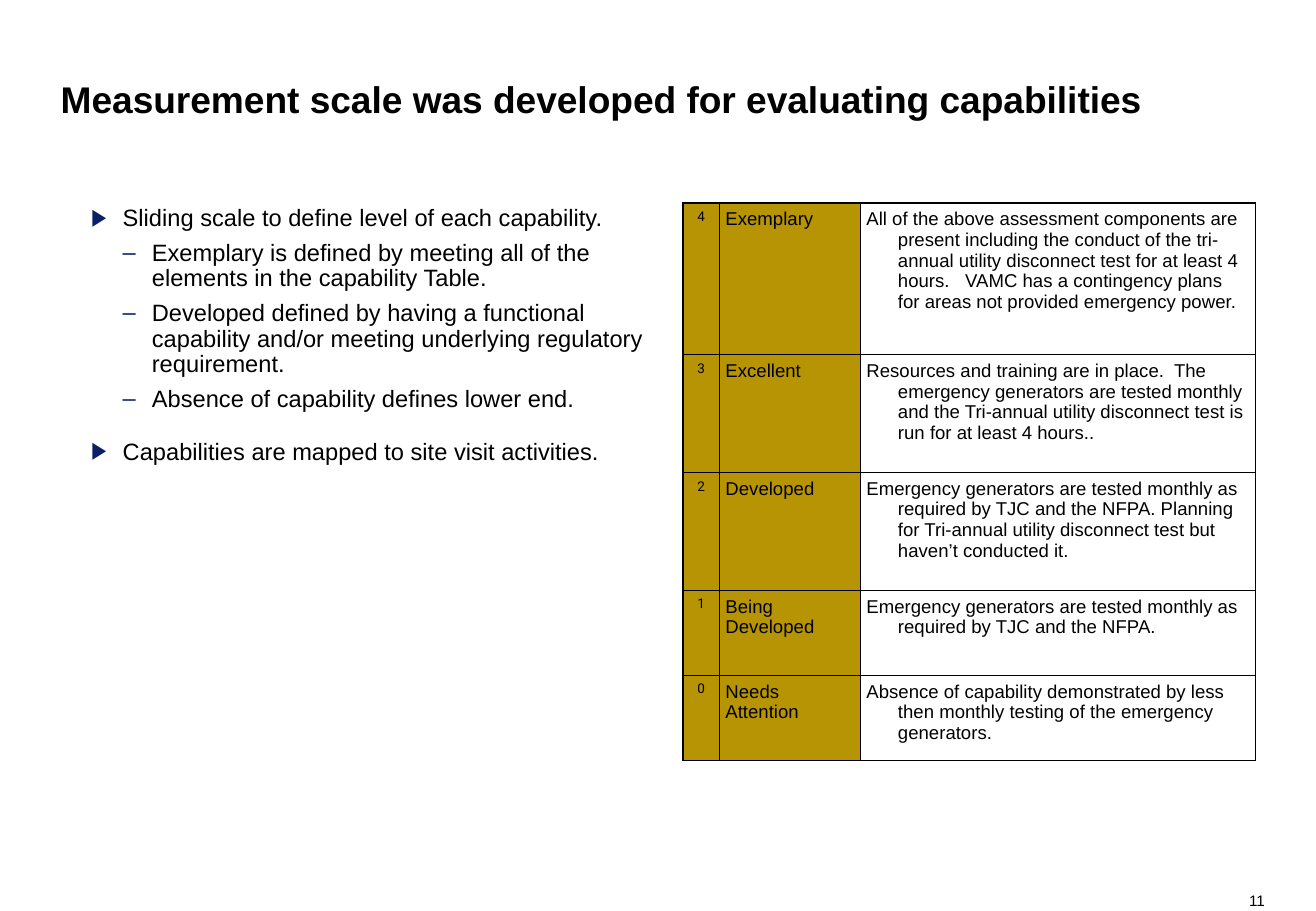
from lxml import etree
from pptx import Presentation
from pptx.dml.color import RGBColor
from pptx.enum.text import MSO_ANCHOR, PP_ALIGN
from pptx.oxml import parse_xml
from pptx.oxml.ns import nsdecls, qn
from pptx.util import Inches, Pt

LEFT, CENTER, RIGHT = PP_ALIGN.LEFT, PP_ALIGN.CENTER, PP_ALIGN.RIGHT
TOP, BOTTOM = MSO_ANCHOR.TOP, MSO_ANCHOR.BOTTOM
BLACK, NAVY, GOLD = "000000", "0B1F65", "B69404"
HANG = 0.26


def add_text(box, anchor=TOP, wrap=True):
    tf = slide.shapes.add_textbox(*map(Inches, box)).text_frame
    for name in ("margin_left", "margin_top", "margin_right", "margin_bottom"):
        setattr(tf, name, 0)
    tf.word_wrap, tf.vertical_anchor = wrap, anchor
    return tf


def write(p, text, size, font="Arial", bold=False, align=LEFT, indent=(0, 0), bullet=None):
    pPr = p._p.get_or_add_pPr()
    pPr.set("marL", str(Inches(indent[0])))
    pPr.set("indent", str(Inches(indent[1])))
    if bullet:
        color = etree.SubElement(pPr, qn("a:buClr"))
        etree.SubElement(color, qn("a:srgbClr"), val=NAVY)
        etree.SubElement(pPr, qn("a:buFont"), typeface="Arial")
        etree.SubElement(pPr, qn("a:buChar"), char=bullet)
    p.alignment = align
    r = p.add_run()
    r.text = text
    for name, value in {"size": Pt(size), "name": font, "bold": bold}.items():
        setattr(r.font, name, value)
    r.font.color.rgb = RGBColor.from_string(BLACK)


prs = Presentation()
prs.slide_width, prs.slide_height = Inches(10.83), Inches(7.5)
slide = prs.slides.add_slide(prs.slide_layouts[6])

# Title and page number
p = add_text((0.5, 0.42, 9.83, 0.58), anchor=BOTTOM).paragraphs[0]
write(p, "Measurement scale was developed for evaluating capabilities", 22, bold=True)
p.line_spacing = 0.9
p = add_text((10.26, 7.34, 0.15, 0.15), wrap=False).paragraphs[0]
write(p, "11", 9, align=RIGHT)

# Bullets: level and text
bullets = [
    (0, "Sliding scale to define level of each capability."),
    (1, "Exemplary is defined by meeting all of the elements in the capability Table."),
    (1, "Developed defined by having a functional capability and/or meeting "
        "underlying regulatory requirement."),
    (1, "Absence of capability defines lower end."),
    (0, "Capabilities are mapped to site visit activities."),
]
levels = [
    {"indent": (HANG, -HANG), "bullet": "▶"},
    {"indent": (0.5, -0.24), "bullet": "–"},
]
tf = add_text((0.75, 1.67, 4.71, 4.58))
for i, (level, text) in enumerate(bullets):
    p = tf.add_paragraph() if i else tf.paragraphs[0]
    write(p, text, 14, **levels[level])
    p.level = level
    if i:
        p.space_before = Pt((14, 5.6)[level])
    if level:
        p.line_spacing = 0.9

# Measurement scale: row height, rating, description
scale = [
    (1.25, "Exemplary",
     "All of the above assessment components are present including the conduct of the "
     "tri-annual utility disconnect test for at least 4 hours.   VAMC has a contingency "
     "plans for areas not provided emergency power."),
    (0.97, "Excellent",
     "Resources and training are in place.  The emergency generators are tested monthly "
     "and the Tri-annual utility disconnect test is run for at least 4 hours.."),
    (0.97, "Developed",
     "Emergency generators are tested monthly as required by TJC and the NFPA. Planning "
     "for Tri-annual utility disconnect test but haven’t conducted it."),
    (0.7, "Being Developed",
     "Emergency generators are tested monthly as required by TJC and the NFPA."),
    (0.7, "Needs Attention",
     "Absence of capability demonstrated by less then monthly testing of the emergency "
     "generators."),
]
table = slide.shapes.add_table(
    len(scale), 3, Inches(5.62), Inches(1.67), Inches(4.71), Inches(4.58)).table
table.first_row = table.horz_banding = False
for column, width in zip(table.columns, (0.3, 1.16, 3.25)):
    column.width = Inches(width)

for i, (height, rating, description) in enumerate(scale):
    table.rows[i].height = Inches(height)
    score = str(len(scale) - 1 - i)
    for j, text in enumerate((score, rating, description)):
        cell = table.cell(i, j)
        for side in ("left", "top", "right", "bottom"):
            setattr(cell, f"margin_{side}", Inches(0.05))
        # Two-word ratings wrap flush left
        flush = j == 1 and " " in text
        style = {"size": 11, "indent": (0, 0) if flush else (HANG, -HANG)}
        if j == 0:
            style.update(size=8, font="Roboto", align=CENTER)
        write(cell.text_frame.paragraphs[0], text, **style)
        tcPr = cell._tc.get_or_add_tcPr()
        for tag in ("lnL", "lnR", "lnT", "lnB"):
            tcPr.append(parse_xml(
                f'<a:{tag} {nsdecls("a")} w="{Pt(1)}"><a:solidFill>'
                f'<a:srgbClr val="{BLACK}"/></a:solidFill></a:{tag}>'))
        if j < 2:
            cell.fill.solid()
            cell.fill.fore_color.rgb = RGBColor.from_string(GOLD)
        else:
            cell.fill.background()

prs.save("out.pptx")
